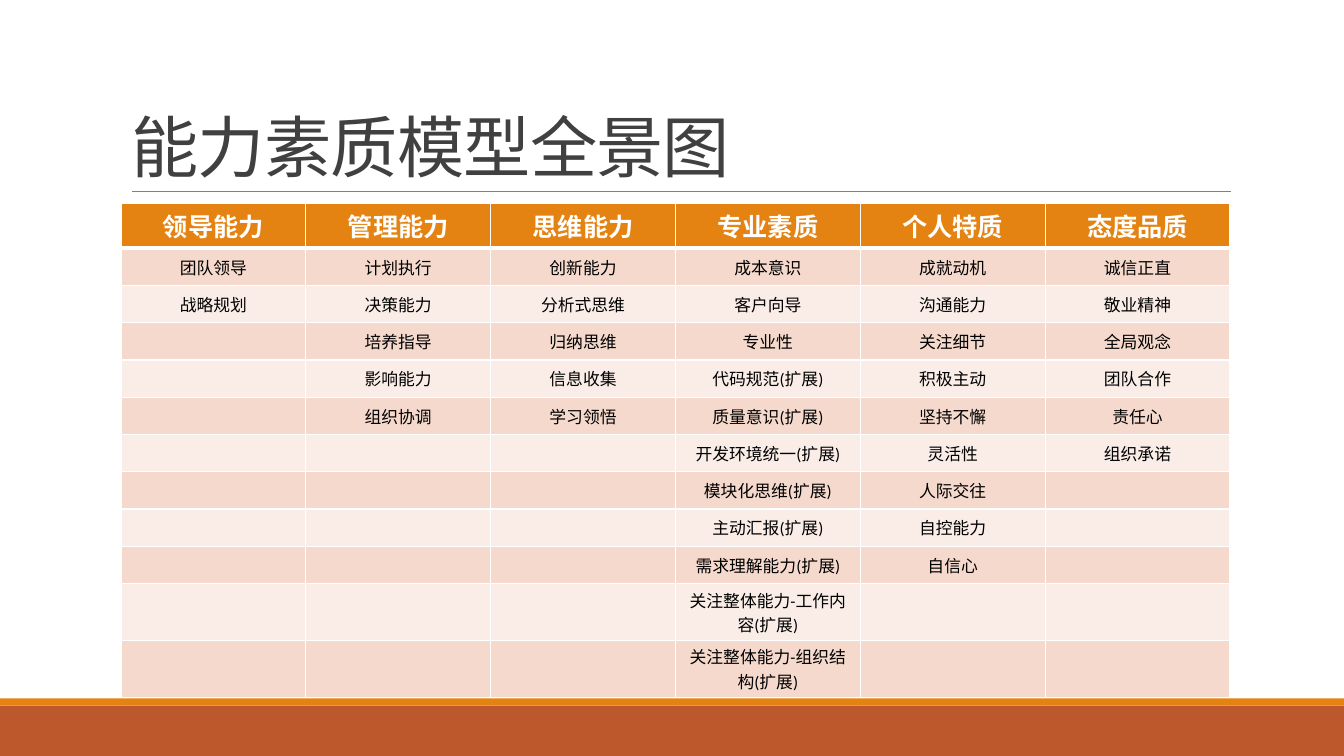
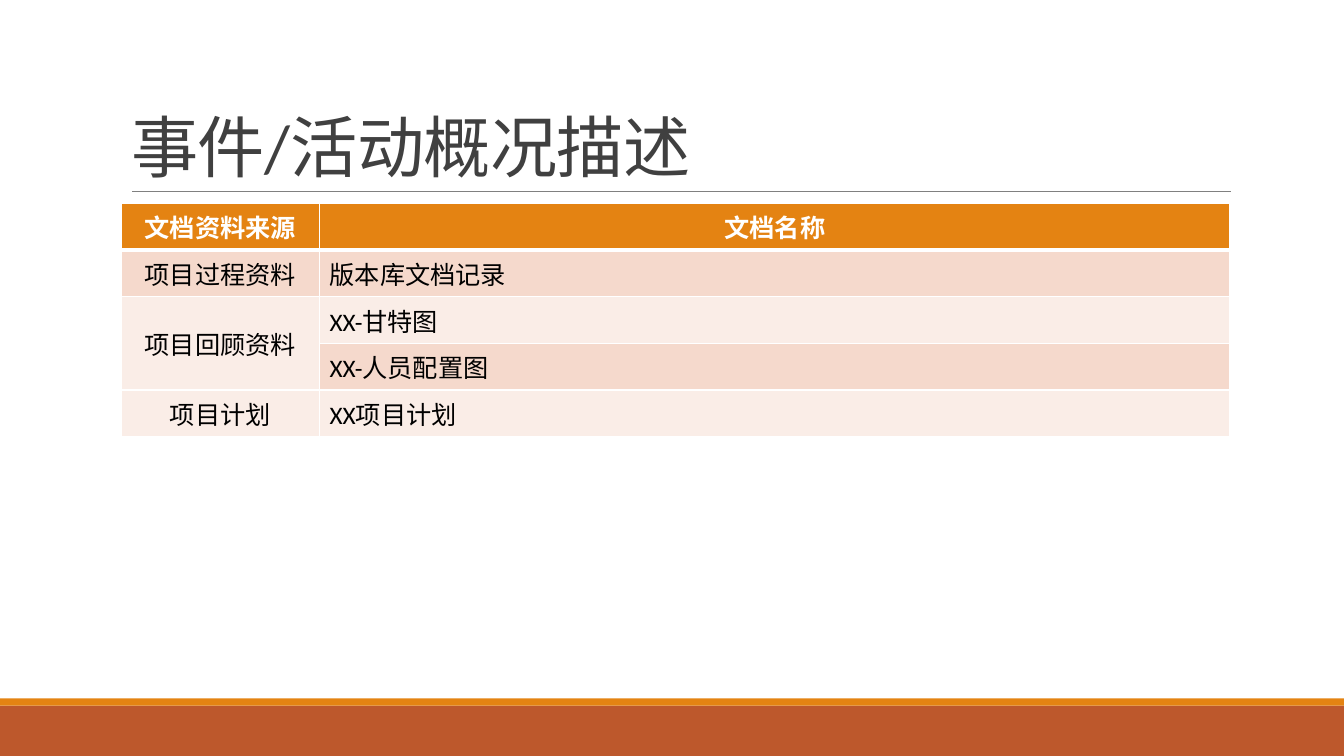
from itertools import zip_longest

from lxml import etree
from pptx import Presentation
from pptx.dml.color import RGBColor
from pptx.enum import shapes, text
from pptx.oxml import ns
from pptx.shapes import shapetree
from pptx.util import Inches, Pt

WHITE = RGBColor(0xFF, 0xFF, 0xFF)
BLACK = RGBColor(0x00, 0x00, 0x00)
TITLE_GREY = RGBColor(0x40, 0x40, 0x40)
RULE_GREY = RGBColor(0x80, 0x80, 0x80)
ORANGE = RGBColor(0xE4, 0x83, 0x12)
RUST = RGBColor(0xBD, 0x58, 0x2C)
ROW_TINTS = (RGBColor(0xFA, 0xED, 0xE7), RGBColor(0xF5, 0xD9, 0xCC))

FONT = "Calibri"
LEFT, WIDTH = 1.2, 11
TABLE_TOP = 2.02
CENTER, START = text.PP_ALIGN.CENTER, text.PP_ALIGN.LEFT

COMPETENCIES = {
    "领导能力": ["团队领导", "战略规划"],
    "管理能力": ["计划执行", "决策能力", "培养指导", "影响能力", "组织协调"],
    "思维能力": ["创新能力", "分析式思维", "归纳思维", "信息收集", "学习领悟"],
    "专业素质": [
        "成本意识", "客户向导", "专业性", "代码规范(扩展)", "质量意识(扩展)",
        "开发环境统一(扩展)", "模块化思维(扩展)", "主动汇报(扩展)",
        "需求理解能力(扩展)", "关注整体能力-工作内容(扩展)",
        "关注整体能力-组织结构(扩展)",
    ],
    "个人特质": [
        "成就动机", "沟通能力", "关注细节", "积极主动", "坚持不懈",
        "灵活性", "人际交往", "自控能力", "自信心",
    ],
    "态度品质": ["诚信正直", "敬业精神", "全局观念", "团队合作", "责任心", "组织承诺"],
}

DOCUMENTS = [
    ("文档资料来源", "文档名称"),
    ("项目过程资料", "版本库文档记录"),
    ("项目回顾资料", "XX-甘特图"),
    ("", "XX-人员配置图"),
    ("项目计划", "XX项目计划"),
]


class Deck:
    def __init__(self):
        self.prs = Presentation()
        self.prs.slide_width = Inches(13.33)
        self.prs.slide_height = Inches(7.5)
        self.layout = self.prs.slide_layouts.get_by_name("Title Only")
        self.slide = None
        self.decorate_layout()

    def decorate_layout(self):
        """Put the footer bands and the title rule on the shared layout."""
        layout_shapes = shapetree.SlideShapes(self.layout.shapes._spTree, self.layout)
        for top, height, color in ((7, 0.5, RUST), (6.93, 0.07, ORANGE)):
            band = layout_shapes.add_shape(
                shapes.MSO_SHAPE.RECTANGLE,
                0, Inches(top), self.prs.slide_width, Inches(height))
            band.shadow.inherit = False
            band.fill.solid()
            band.fill.fore_color.rgb = color
            band.line.fill.background()
        rule = layout_shapes.add_connector(
            shapes.MSO_CONNECTOR.STRAIGHT,
            Inches(1.31), Inches(1.9), Inches(12.21), Inches(1.9))
        rule.line.color.rgb = RULE_GREY
        rule.line.width = Pt(0.5)
        etree.SubElement(rule._element.spPr, ns.qn("a:effectLst"))

    def add_slide(self, heading):
        self.slide = self.prs.slides.add_slide(self.layout)
        title = self.slide.shapes.title
        title.left, title.top = Inches(LEFT), Inches(0.31)
        title.width, title.height = Inches(WIDTH), Inches(1.59)
        frame = title.text_frame
        frame.word_wrap = True
        frame.auto_size = text.MSO_AUTO_SIZE.NONE
        frame.vertical_anchor = text.MSO_ANCHOR.BOTTOM
        paragraph = frame.paragraphs[0]
        paragraph.alignment = START
        paragraph.line_spacing = 0.85
        run = self.add_run(paragraph, heading, 48, TITLE_GREY)
        run.font._element.set("spc", "-50")

    def add_run(self, paragraph, words, size, color, bold=False):
        run = paragraph.add_run()
        run.text = words
        run.font.name = FONT
        run.font.size = Pt(size)
        run.font.bold = bold
        run.font.color.rgb = color
        return run

    def add_table(self, rows, col_widths, row_heights, body_size, body_aligns,
                  margins=(0.1, 0.05)):
        """Draw a banded table whose first row is the header.

        margins holds the side and the top/bottom margin of each cell.
        """
        frame = self.slide.shapes.add_table(
            len(rows), len(col_widths), Inches(LEFT), Inches(TABLE_TOP),
            Inches(WIDTH), Inches(sum(row_heights)))
        table = frame.table
        table.horz_banding = False
        for column, width in zip(table.columns, col_widths):
            column.width = Inches(width)
        for row, height in zip(table.rows, row_heights):
            row.height = Inches(height)
        for r, row in enumerate(rows):
            for c, words in enumerate(row):
                cell = table.cell(r, c)
                cell.margin_left = cell.margin_right = Inches(margins[0])
                cell.margin_top = cell.margin_bottom = Inches(margins[1])
                if r == 0:
                    self.fill_cell(cell, words, ORANGE, 18, WHITE, CENTER,
                                   bold=True, bottom=3)
                else:
                    self.fill_cell(cell, words, ROW_TINTS[r % 2], body_size, BLACK,
                                   body_aligns[c], top=3 if r == 1 else 1)
        return table

    def fill_cell(self, cell, words, fill, size, color, align,
                  bold=False, top=1, bottom=1):
        self.set_borders(cell, L=1, R=1, T=top, B=bottom)
        cell.fill.solid()
        cell.fill.fore_color.rgb = fill
        cell.vertical_anchor = text.MSO_ANCHOR.MIDDLE
        paragraph = cell.text_frame.paragraphs[0]
        paragraph.alignment = align
        if words:
            self.add_run(paragraph, words, size, color, bold)
        else:  # an empty cell must not stretch its row
            etree.SubElement(paragraph._p, ns.qn("a:endParaRPr"), sz=str(size * 100))

    def set_borders(self, cell, **widths):
        properties = cell._tc.get_or_add_tcPr()
        for side, width in widths.items():
            line = etree.SubElement(properties, ns.qn(f"a:ln{side}"), w=str(Pt(width)))
            solid = etree.SubElement(line, ns.qn("a:solidFill"))
            etree.SubElement(solid, ns.qn("a:srgbClr"), val=str(WHITE))


def main():
    deck = Deck()

    deck.add_slide("能力素质模型全景图")
    columns = len(COMPETENCIES)
    rows = [tuple(COMPETENCIES), *zip_longest(*COMPETENCIES.values(), fillvalue="")]
    deck.add_table(rows, [WIDTH / columns] * columns, [0.37] * 10 + [0.47] * 2,
                   12, [CENTER] * columns, margins=(0.09, 0.04))

    deck.add_slide("事件/活动概况描述")
    documents = deck.add_table(DOCUMENTS, [1.97, 9.03], [0.41] * len(DOCUMENTS),
                               18, [CENTER, START])
    documents.cell(2, 0).merge(documents.cell(3, 0))

    deck.prs.save("out.pptx")


if __name__ == "__main__":
    main()
